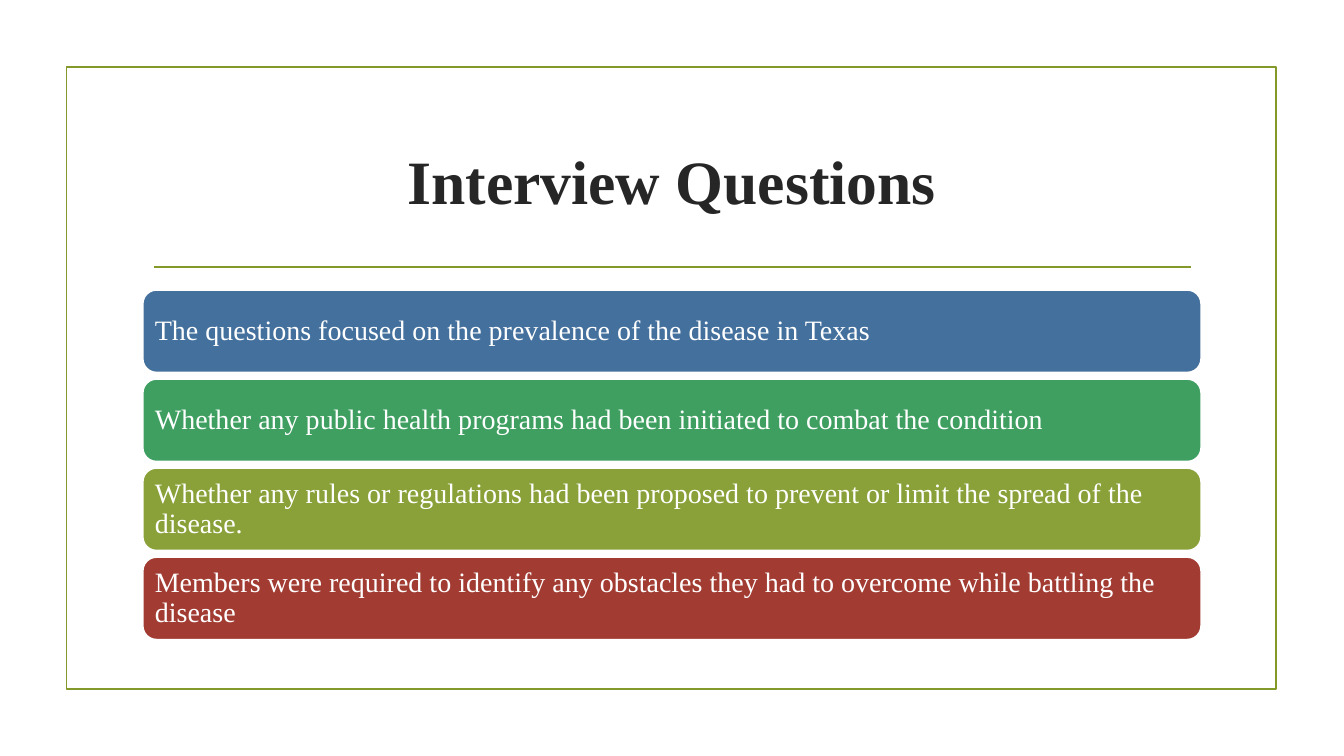
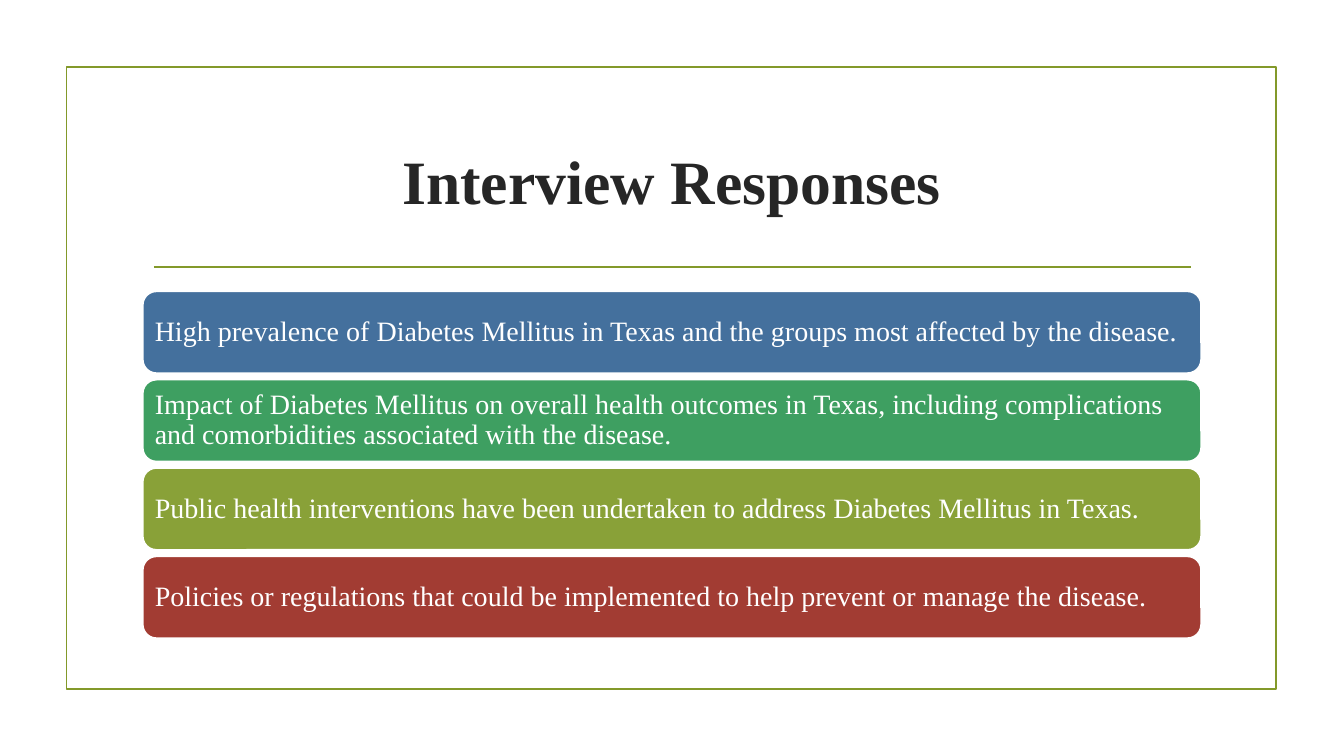
from lxml import etree
from pptx import Presentation
from pptx.dml.color import RGBColor
from pptx.enum.shapes import MSO_CONNECTOR, MSO_SHAPE
from pptx.enum.text import MSO_ANCHOR, PP_ALIGN
from pptx.oxml.ns import qn
from pptx.util import Pt

RECTANGLE = MSO_SHAPE.RECTANGLE
ROUNDED = MSO_SHAPE.ROUNDED_RECTANGLE
STRAIGHT = MSO_CONNECTOR.STRAIGHT
MIDDLE = MSO_ANCHOR.MIDDLE
CENTER, LEFT = PP_ALIGN.CENTER, PP_ALIGN.LEFT

WHITE = RGBColor(0xFF, 0xFF, 0xFF)
INK = RGBColor(0x26, 0x26, 0x26)
OLIVE = RGBColor(0x83, 0x99, 0x2A)
BAR_COLORS = [
    RGBColor(0x44, 0x70, 0x9D),
    RGBColor(0x3E, 0x9F, 0x61),
    RGBColor(0x89, 0xA1, 0x38),
    RGBColor(0xA2, 0x3C, 0x33),
]

FONT = "Times New Roman"
LINE_WIDTH = Pt(1.25)
CONTENT_LEFT, CONTENT_WIDTH = 102, 756
STACK_MIDDLE = 332
BAR_GAP = 4.6
BAR_INSET = Pt(5.76)

# Title, bar height, bar texts
SLIDES = [
    ("Interview Questions", 59, [
        "The questions focused on the prevalence of the disease in Texas",
        "Whether any public health programs had been initiated to combat the condition",
        "Whether any rules or regulations had been proposed to prevent or limit "
        "the spread of the disease.",
        "Members were required to identify any obstacles they had to overcome "
        "while battling the disease",
    ]),
    ("Interview Responses", 58.5, [
        "High prevalence of Diabetes Mellitus in Texas and the groups most affected "
        "by the disease.",
        "Impact of Diabetes Mellitus on overall health outcomes in Texas, including "
        "complications and comorbidities associated with the disease.",
        "Public health interventions have been undertaken to address Diabetes "
        "Mellitus in Texas.",
        "Policies or regulations that could be implemented to help prevent or manage "
        "the disease.",
    ]),
]


def write(shape, text, size, color, align):
    """Put one vertically centred, wrapped paragraph in a shape and return it."""
    frame = shape.text_frame
    frame.word_wrap = True
    frame.vertical_anchor = MIDDLE
    paragraph = frame.paragraphs[0]
    paragraph.text = text
    paragraph.alignment = align
    paragraph.font.name = FONT
    paragraph.font.size = Pt(size)
    paragraph.font.color.rgb = color
    return paragraph


def add_framed_slide(prs, title):
    """Add a slide with the olive border, the title and the rule below it."""
    slide = prs.slides.add_slide(prs.slide_layouts[6])

    border = slide.shapes.add_shape(RECTANGLE, Pt(47.6), Pt(48), Pt(864), Pt(444))
    border.shadow.inherit = False
    border.fill.background()
    border.line.color.rgb = OLIVE
    border.line.width = LINE_WIDTH

    rule = slide.shapes.add_connector(STRAIGHT, Pt(110), Pt(190.8), Pt(850.4), Pt(190.8))
    rule.line.color.rgb = OLIVE
    rule.line.width = LINE_WIDTH
    etree.SubElement(rule.element.spPr, qn("a:effectLst"))

    heading = slide.shapes.add_textbox(
        Pt(CONTENT_LEFT), Pt(77), Pt(CONTENT_WIDTH), Pt(103))
    write(heading, title, 44, INK, CENTER).font.bold = True
    return slide


prs = Presentation()
prs.slide_width, prs.slide_height = Pt(960), Pt(540)

for title, bar_height, points in SLIDES:
    slide = add_framed_slide(prs, title)
    pitch = bar_height + BAR_GAP
    stack_top = STACK_MIDDLE - (len(points) * pitch - BAR_GAP) / 2

    for row, (point, color) in enumerate(zip(points, BAR_COLORS)):
        bar = slide.shapes.add_shape(
            ROUNDED, Pt(CONTENT_LEFT), Pt(stack_top + row * pitch),
            Pt(CONTENT_WIDTH), Pt(bar_height))
        bar.shadow.inherit = False
        bar.fill.solid()
        bar.fill.fore_color.rgb = color
        bar.line.color.rgb = WHITE
        bar.line.width = LINE_WIDTH
        frame = bar.text_frame
        frame.margin_left = frame.margin_right = BAR_INSET
        frame.margin_top = frame.margin_bottom = BAR_INSET
        write(bar, point, 20, WHITE, LEFT).line_spacing = 0.9

prs.save("out.pptx")
